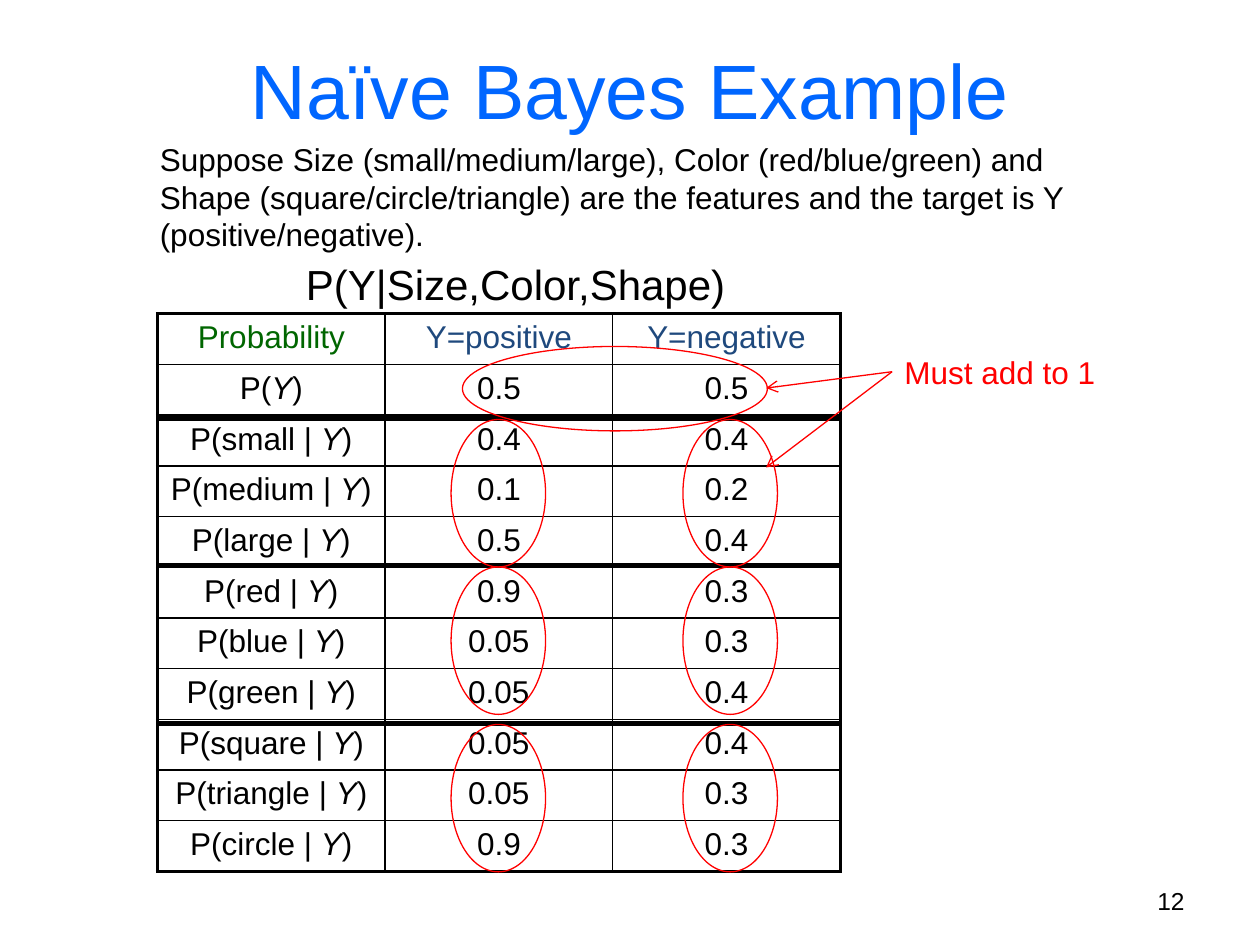
from dataclasses import dataclass

from lxml import etree
from pptx import Presentation
from pptx.dml.color import RGBColor
from pptx.enum.shapes import MSO_CONNECTOR, MSO_SHAPE
from pptx.enum.text import MSO_ANCHOR, PP_ALIGN
from pptx.oxml.ns import qn
from pptx.util import Inches, Pt

LEFT, CENTER, RIGHT = PP_ALIGN.LEFT, PP_ALIGN.CENTER, PP_ALIGN.RIGHT
TOP, MIDDLE = MSO_ANCHOR.TOP, MSO_ANCHOR.MIDDLE
ELLIPSE, STRAIGHT = MSO_SHAPE.OVAL, MSO_CONNECTOR.STRAIGHT
TITLE_ONLY = 5


@dataclass(frozen=True)
class Theme:
    font: str = "Arial"
    title: str = "0066FF"
    ink: str = "000000"
    label: str = "006600"
    outcome: str = "1F497D"
    mark: str = "FF0000"
    title_size: float = 44
    formula_size: float = 24
    text_size: float = 18
    number_size: float = 14
    frame_line: float = 2.25
    grid_line: float = 1
    group_line: float = 3
    mark_line: float = 0.75


class SlideBuilder:
    def __init__(self, page, theme):
        self.page = page
        self.theme = theme

    def format_para(self, para, size, color, align):
        para.alignment = align
        for span in para.runs:
            span.font.name = self.theme.font
            span.font.size = Pt(size)
            span.font.color.rgb = RGBColor.from_string(color)

    def title(self, text, left, top, width, height):
        box = self.page.shapes.title
        box.left, box.top = Inches(left), Inches(top)
        box.width, box.height = Inches(width), Inches(height)
        frame = box.text_frame
        frame.text = text
        frame.vertical_anchor = MIDDLE
        self.format_para(frame.paragraphs[0], self.theme.title_size, self.theme.title, CENTER)

    def text(self, text, left, top, width, height, size, color, align=LEFT, anchor=TOP):
        box = self.page.shapes.add_textbox(
            Inches(left), Inches(top), Inches(width), Inches(height))
        frame = box.text_frame
        frame.word_wrap = True
        frame.vertical_anchor = anchor
        frame.text = text
        self.format_para(frame.paragraphs[0], size, color, align)

    def table(self, rows, left, top, width, height):
        """Draw a ruled grid with a heavier outer frame and a coloured header row."""
        theme = self.theme
        row_count, column_count = len(rows), len(rows[0])
        table = self.page.shapes.add_table(
            row_count, column_count,
            Inches(left), Inches(top), Inches(width), Inches(height)).table
        table.first_row = table.horz_banding = False
        for r, row in enumerate(rows):
            for c, value in enumerate(row):
                cell = table.cell(r, c)
                para = cell.text_frame.paragraphs[0]
                if r and c == 0:
                    self.probability(para, value)
                else:
                    para.text = value
                header_color = theme.outcome if c else theme.label
                self.format_para(para, theme.text_size, theme.ink if r else header_color, CENTER)
                self.cell_borders(cell, {
                    "a:lnL": c == 0, "a:lnR": c == column_count - 1,
                    "a:lnT": r == 0, "a:lnB": r == row_count - 1})
                cell.fill.background()

    def probability(self, para, condition):
        """Write P(condition Y) with an italic Y."""
        for part in ("P(" + condition, "Y", ")"):
            span = para.add_run()
            span.text = part
            span.font.italic = part == "Y"

    def cell_borders(self, cell, on_frame):
        properties = cell._tc.get_or_add_tcPr()
        for side, is_outer in on_frame.items():
            width = self.theme.frame_line if is_outer else self.theme.grid_line
            border = etree.SubElement(properties, qn(side), w=str(Pt(width)))
            fill = etree.SubElement(border, qn("a:solidFill"))
            etree.SubElement(fill, qn("a:srgbClr"), val=self.theme.ink)

    def line(self, start, end, color, width, arrow=False):
        connector = self.page.shapes.add_connector(
            STRAIGHT, *(Inches(value) for value in start + end))
        connector.line.color.rgb = RGBColor.from_string(color)
        connector.line.width = Pt(width)
        properties = connector._element.spPr
        if arrow:
            etree.SubElement(properties.find(qn("a:ln")), qn("a:tailEnd"), type="arrow")
        etree.SubElement(properties, qn("a:effectLst"))

    def ellipse(self, left, top, width, height):
        shape = self.page.shapes.add_shape(
            ELLIPSE, Inches(left), Inches(top), Inches(width), Inches(height))
        shape.shadow.inherit = False
        shape.fill.background()
        shape.line.color.rgb = RGBColor.from_string(self.theme.mark)
        shape.line.width = Pt(self.theme.mark_line)


PROBABILITIES = [
    ("Probability", "Y=positive", "Y=negative"),
    ("", "0.5", "0.5"),
    ("small | ", "0.4", "0.4"),
    ("medium | ", "0.1", "0.2"),
    ("large | ", "0.5", "0.4"),
    ("red | ", "0.9", "0.3"),
    ("blue | ", "0.05", "0.3"),
    ("green | ", "0.05", "0.4"),
    ("square | ", "0.05", "0.4"),
    ("triangle | ", "0.05", "0.3"),
    ("circle | ", "0.9", "0.3"),
]
TABLE_LEFT, TABLE_WIDTH = 1.25, 5.42


def main():
    theme = Theme()
    deck = Presentation()
    deck.slide_width, deck.slide_height = Inches(10), Inches(7.5)
    page = deck.slides.add_slide(deck.slide_layouts[TITLE_ONLY])
    builder = SlideBuilder(page, theme)

    builder.title("Naïve Bayes Example", 0.5, 0.08, 9, 1.25)
    builder.table(PROBABILITIES, TABLE_LEFT, 2.49, TABLE_WIDTH, 4.43)
    for y in (3.32, 4.49, 5.74):
        builder.line((TABLE_LEFT, y), (TABLE_LEFT + TABLE_WIDTH, y),
                     theme.ink, theme.group_line)

    builder.text("P(Y|Size,Color,Shape)", 2.33, 2, 4.42, 0.5, theme.formula_size, theme.ink)
    builder.text("12", 7.17, 6.95, 2.33, 0.4, theme.number_size, theme.ink, RIGHT, MIDDLE)
    builder.text(
        "Suppose Size (small/medium/large), Color (red/blue/green) and "
        "Shape (square/circle/triangle) are the features and the target is Y "
        "(positive/negative).",
        1.17, 1.06, 7.83, 1.01, theme.text_size, theme.ink)

    for top in (3.33, 4.5, 5.75):
        for left in (3.58, 5.42):
            builder.ellipse(left, top, 0.75, 1.17)
    builder.ellipse(3.67, 2.75, 2.42, 0.67)

    builder.text("Must add to 1", 7.08, 2.75, 1.92, 0.4, theme.text_size, theme.mark)
    for y in (3.08, 3.71):
        builder.line((7.08, 2.95), (6.08, y), theme.mark, theme.mark_line, arrow=True)

    deck.save("out.pptx")


if __name__ == "__main__":
    main()
